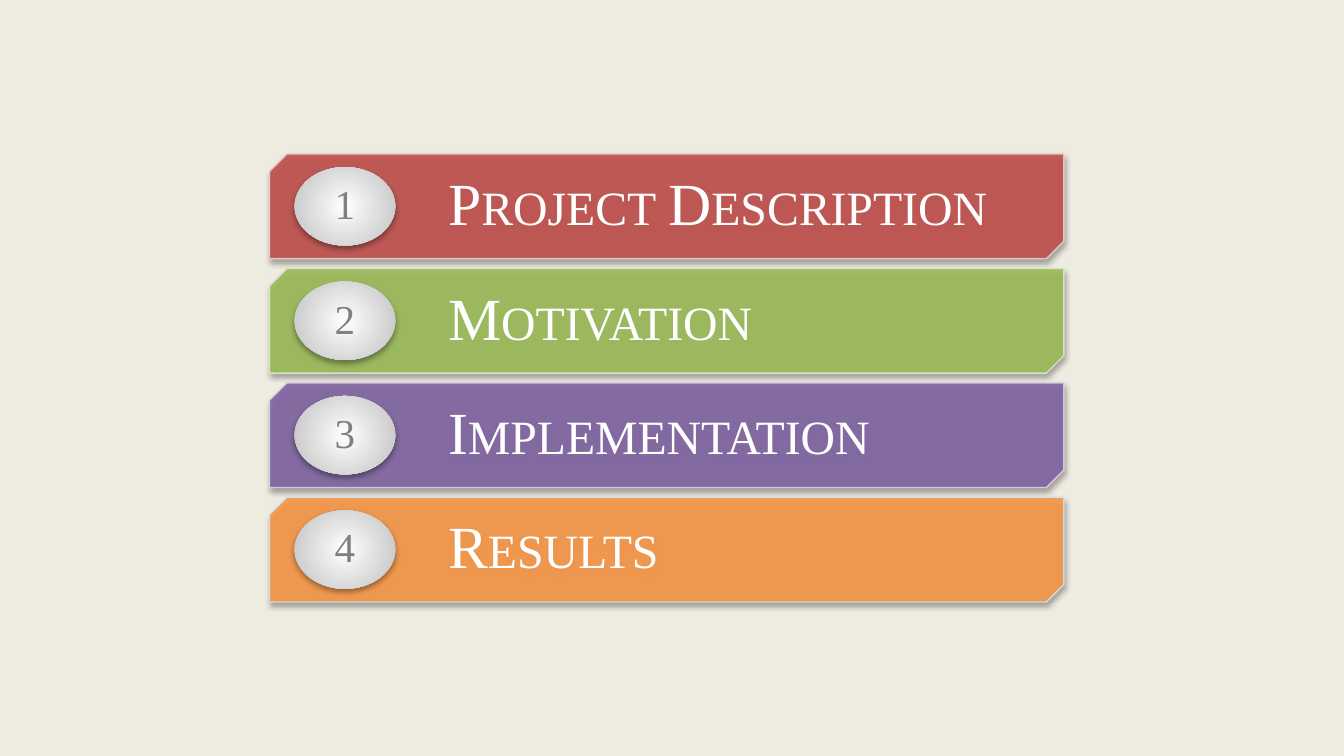
from lxml import etree
from pptx import Presentation
from pptx.dml import color
from pptx.enum import shapes, text
from pptx.oxml import ns
from pptx.util import Pt

FONT = "Times New Roman"
AGENDA = [
    ("Project Description", "C0504D", "E8D0D0"),
    ("Motivation", "9BBB59", "DEE7D1"),
    ("Implementation", "8064A2", "D8D3E0"),
    ("Results", "F79646", "D0E3EA"),
]


def rgb(value):
    return color.RGBColor.from_string(value)


def add_child(parent, tag, **values):
    child = etree.SubElement(parent, ns.qn(tag))
    for name, value in values.items():
        child.set(name, str(value))
    return child


def set_values(target, values):
    for name, value in values.items():
        setattr(target, name, value)


def add_shape(page, kind, box):
    shape = page.shapes.add_shape(kind, *map(Pt, box))
    shape.shadow.inherit = False
    effects = shape._element.spPr.find(ns.qn("a:effectLst"))
    shadow = add_child(effects, "a:outerShdw", blurRad=Pt(3.1), dist=Pt(1.8),
                       dir=5400000, rotWithShape=0)
    black = add_child(shadow, "a:srgbClr", val="000000")
    add_child(black, "a:alpha", val=35000)
    return shape


def paint(fill, value, opacity):
    fill.solid()
    fill.fore_color.rgb = rgb(value)
    solid = fill._xPr.find(ns.qn("a:solidFill"))
    add_child(solid[0], "a:alpha", val=opacity * 1000)


def write(shape, words, size, ink, align, left=0):
    frame = shape.text_frame
    set_values(frame, {
        "word_wrap": True, "vertical_anchor": text.MSO_ANCHOR.MIDDLE,
        "margin_left": Pt(left), "margin_right": 0,
        "margin_top": 0, "margin_bottom": 0,
    })
    para = frame.paragraphs[0]
    set_values(para, {"alignment": align, "line_spacing": 0.9})
    span = para.add_run()
    span.text = words
    set_values(span.font, {"name": FONT, "size": Pt(size)})
    span.font.color.rgb = rgb(ink)
    return span


def add_bar(page, box, title, fill, outline):
    bar = add_shape(page, shapes.MSO_SHAPE.SNIP_2_DIAG_RECTANGLE, box)
    bar.adjustments[0] = 0.16667
    bar.adjustments[1] = 0
    paint(bar.fill, fill, 90)
    bar.line.width = Pt(0.75)
    paint(bar.line.fill, outline, 90)
    span = write(bar, title, 32, "FFFFFF", text.PP_ALIGN.LEFT, left=91)
    span.font._element.set("cap", "small")


def add_badge(page, box, number):
    badge = add_shape(page, shapes.MSO_SHAPE.OVAL, box)
    badge.line.fill.background()
    badge.fill.gradient()
    for stop, value in zip(badge.fill.gradient_stops, ("FFFFFF", "BFBFBF")):
        stop.color.rgb = rgb(value)
    gradient = badge._element.spPr.find(ns.qn("a:gradFill"))
    gradient.remove(gradient.find(ns.qn("a:lin")))
    circle = add_child(gradient, "a:path")
    circle.set("path", "circle")
    add_child(circle, "a:fillToRect", l=50000, t=50000, r=50000, b=50000)
    write(badge, str(number), 22, "808080", text.PP_ALIGN.CENTER)


def add_agenda(page, box, gap):
    left, top, width, height = box
    bar_height = (height - gap * (len(AGENDA) - 1)) / len(AGENDA)
    for index, (title, fill, outline) in enumerate(AGENDA):
        bar_top = top + index * (bar_height + gap)
        add_bar(page, (left, bar_top, width, bar_height), title, fill, outline)
        badge_box = (left + 13.4, bar_top + (bar_height - 42) / 2, 54, 42)
        add_badge(page, badge_box, index + 1)


def main():
    deck = Presentation()
    set_values(deck, {"slide_width": Pt(720), "slide_height": Pt(405)})
    page = deck.slides.add_slide(deck.slide_layouts[6])
    page.background.fill.solid()
    page.background.fill.fore_color.rgb = rgb("EEECE1")
    add_agenda(page, (144.4, 82.5, 425.5, 240), gap=5.2)
    deck.save("out.pptx")


if __name__ == "__main__":
    main()
